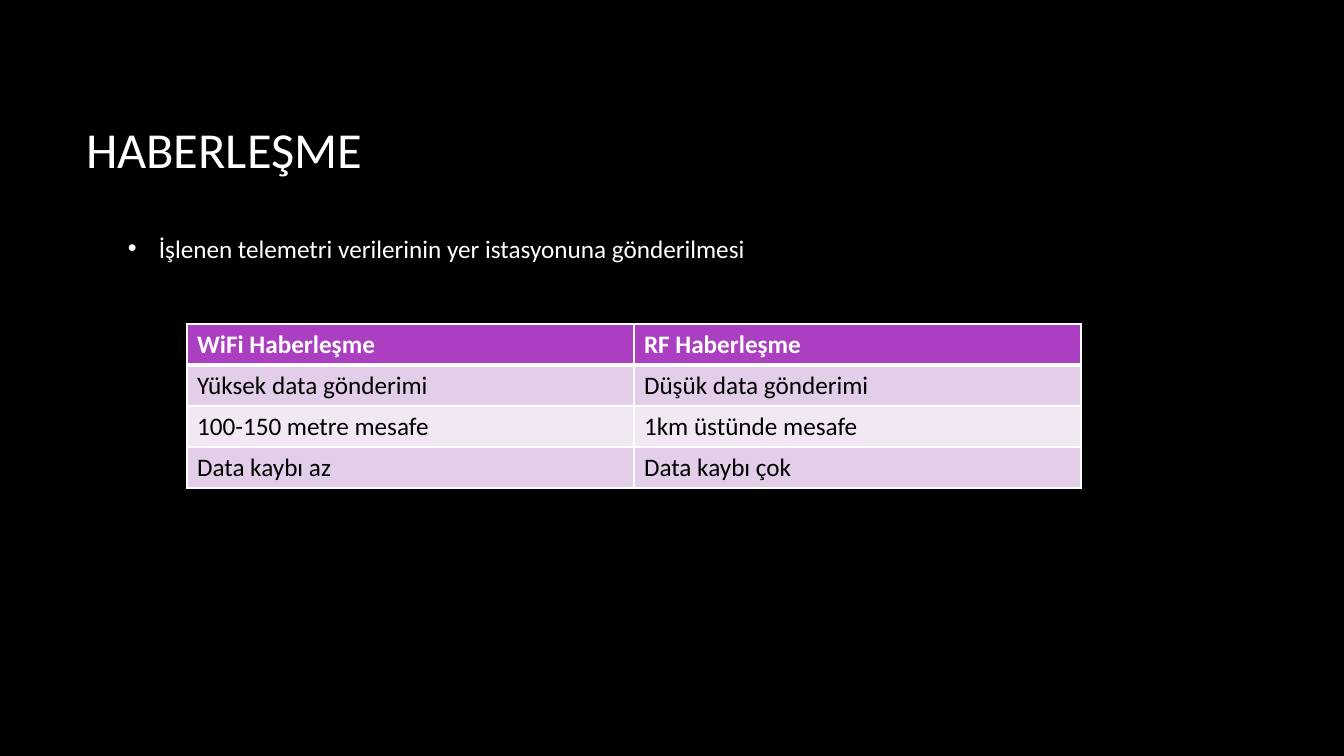
import pptx
import pptx.dml.color
import pptx.enum.text
import pptx.oxml
import pptx.oxml.ns
import pptx.util

EMU_PER_PX = 914400 / 100.8
WHITE, BLACK, PURPLE = "FFFFFF", "000000", "AC3EC1"
BANDS = ("E3CEE9", "F1E8F4")
COMPARISON = (
    ("WiFi Haberleşme", "RF Haberleşme"),
    ("Yüksek data gönderimi", "Düşük data gönderimi"),
    ("100-150 metre mesafe", "1km üstünde mesafe"),
    ("Data kaybı az", "Data kaybı çok"),
)
ROW_HEIGHT = 41


def px(length):
    return pptx.util.Emu(round(length * EMU_PER_PX))


def rgb(value):
    return pptx.dml.color.RGBColor.from_string(value)


def xml_element(markup):
    """Parse one element given without its namespace declaration."""
    tag, rest = markup[1:].split(" ", 1)
    return pptx.oxml.parse_xml(f"<{tag} {pptx.oxml.ns.nsdecls('a')} {rest}")


def write(frame, text, color, size=18, bold=False):
    paragraph = frame.paragraphs[0]
    run = paragraph.add_run()
    run.text = text
    formats = {"name": "Calibri", "size": pptx.util.Pt(size), "bold": bold}
    for attribute, value in formats.items():
        setattr(run.font, attribute, value)
    run.font.color.rgb = rgb(color)
    return paragraph


def place_title(slide, text, left, top, width, height):
    title = slide.shapes.title
    box = {"left": left, "top": top, "width": width, "height": height}
    for attribute, value in box.items():
        setattr(title, attribute, px(value))
    title.text_frame.vertical_anchor = pptx.enum.text.MSO_ANCHOR.MIDDLE
    paragraph = write(title.text_frame, text, WHITE, size=36)
    paragraph.alignment = pptx.enum.text.PP_ALIGN.LEFT


def add_bullet(slide, text, left, top, width, height, indent):
    box = slide.shapes.add_textbox(px(left), px(top), px(width), px(height))
    frame = box.text_frame
    frame.word_wrap = False
    frame.auto_size = pptx.enum.text.MSO_AUTO_SIZE.SHAPE_TO_FIT_TEXT
    properties = write(frame, text, WHITE)._p.get_or_add_pPr()
    properties.set("marL", str(px(indent)))
    properties.set("indent", str(-px(indent)))
    properties.append(xml_element('<a:buFont typeface="Arial"/>'))
    properties.append(xml_element('<a:buChar char="•"/>'))


def add_borders(cell, widths):
    """Draw white borders; widths maps L, R, T and B to points."""
    properties = cell._tc.get_or_add_tcPr()
    for position, (side, points) in enumerate(widths.items()):
        line = xml_element(
            f'<a:ln{side} w="{pptx.util.Pt(points)}"><a:solidFill>'
            f'<a:srgbClr val="{WHITE}"/></a:solidFill></a:ln{side}>')
        properties.insert(position, line)


def add_comparison(slide, left, top, width):
    rows, columns = len(COMPARISON), len(COMPARISON[0])
    table = slide.shapes.add_table(
        rows, columns, px(left), px(top), px(width), px(rows * ROW_HEIGHT)).table
    for r, texts in enumerate(COMPARISON):
        header = r == 0
        for c, text in enumerate(texts):
            cell = table.cell(r, c)
            cell.fill.solid()
            cell.fill.fore_color.rgb = rgb(PURPLE if header else BANDS[(r - 1) % 2])
            write(cell.text_frame, text, WHITE if header else BLACK, bold=header)
            add_borders(cell, {"L": 1, "R": 1, "T": 3 if r == 1 else 1,
                               "B": 3 if header else 1})


def main():
    deck = pptx.Presentation()
    deck.slide_width, deck.slide_height = px(1344), px(756)
    slide = deck.slides.add_slide(deck.slide_layouts[5])
    slide.background.fill.solid()
    slide.background.fill.fore_color.rgb = rgb(BLACK)
    place_title(slide, "HABERLEŞME", 76, 68, 1117, 160)
    add_comparison(slide, 187, 324, 894)
    add_bullet(slide, "İşlenen telemetri verilerinin yer istasyonuna gönderilmesi",
               118, 228, 639, 40, indent=31)
    deck.save("out.pptx")


if __name__ == "__main__":
    main()
